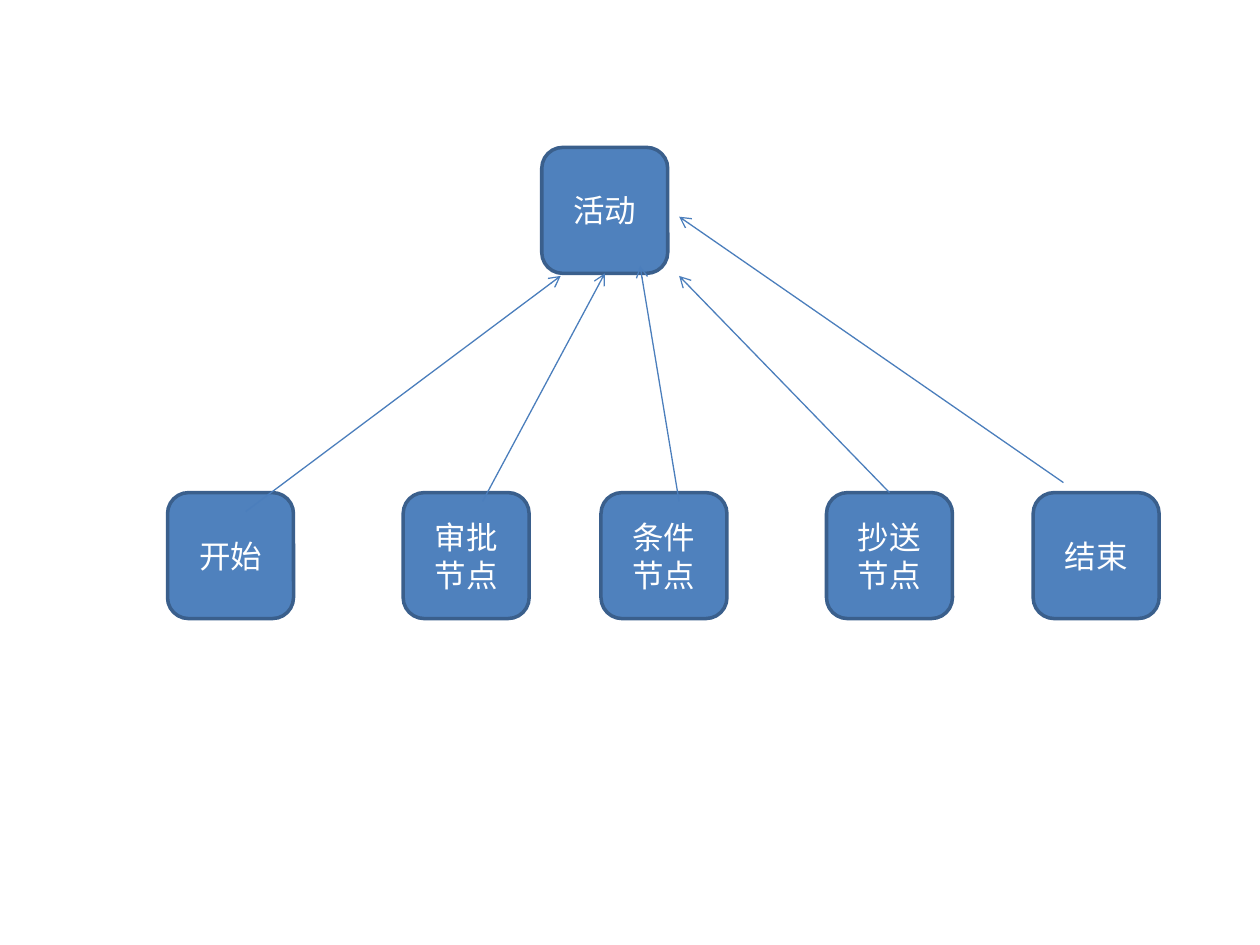
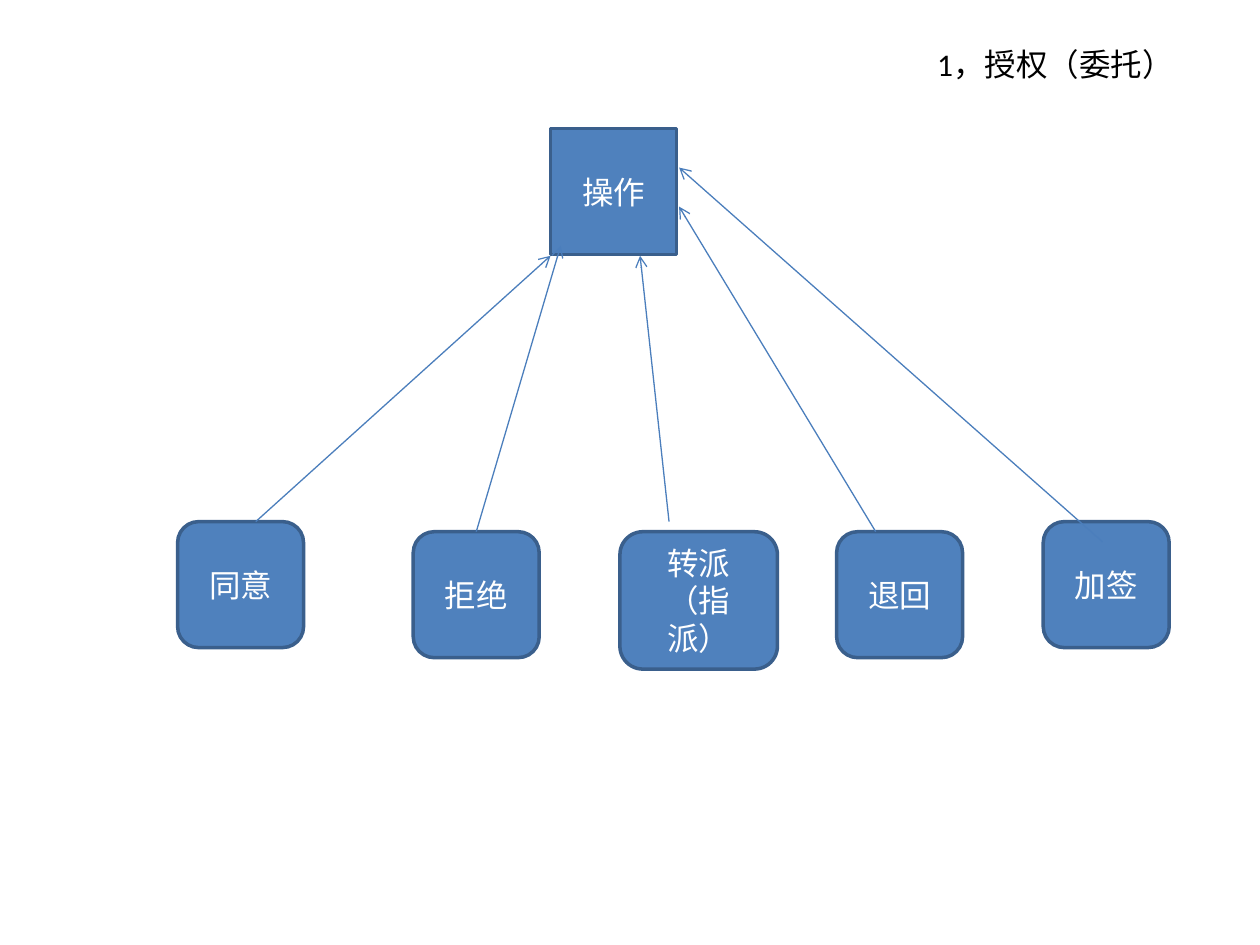
from dataclasses import dataclass

from lxml import etree
from pptx import Presentation
from pptx.dml.color import RGBColor
from pptx.enum.shapes import MSO_CONNECTOR, MSO_SHAPE
from pptx.enum.text import MSO_ANCHOR, MSO_AUTO_SIZE, PP_ALIGN
from pptx.oxml.ns import qn
from pptx.slide import Slide
from pptx.text.text import TextFrame
from pptx.util import Inches, Pt

ROUNDED = MSO_SHAPE.ROUNDED_RECTANGLE
SQUARE = MSO_SHAPE.RECTANGLE
STRAIGHT = MSO_CONNECTOR.STRAIGHT
MIDDLE = MSO_ANCHOR.MIDDLE
CENTER = PP_ALIGN.CENTER
LEFT = PP_ALIGN.LEFT
FIT_SHAPE = MSO_AUTO_SIZE.SHAPE_TO_FIT_TEXT
BLANK_LAYOUT = 6


@dataclass(frozen=True)
class Theme:
    font: str = "Calibri"
    text_size: float = 18
    node_fill: RGBColor = RGBColor(0x4F, 0x81, 0xBD)
    node_border: RGBColor = RGBColor(0x3A, 0x5F, 0x8C)
    border_width: float = 2
    arrow: RGBColor = RGBColor(0x4B, 0x7E, 0xBC)
    arrow_width: float = 0.75
    node_text: RGBColor = RGBColor(0xFF, 0xFF, 0xFF)
    note_text: RGBColor = RGBColor(0, 0, 0)


@dataclass(frozen=True)
class Node:
    label: str
    left: float
    top: float
    width: float = 1
    height: float = 1
    outline: MSO_SHAPE = ROUNDED


@dataclass(frozen=True)
class Arrow:
    start: tuple[float, float]
    end: tuple[float, float]


@dataclass(frozen=True)
class Note:
    text: str
    left: float
    top: float
    width: float
    height: float


@dataclass(frozen=True)
class Hierarchy:
    parent: Node
    children: tuple[Node, ...]
    arrows: tuple[Arrow, ...]
    notes: tuple[Note, ...] = ()


THEME = Theme()

ACTIVITIES = Hierarchy(
    parent=Node("活动", 4.3, 1.17),
    children=(
        Node("开始", 1.33, 3.91),
        Node("审批节点", 3.2, 3.91),
        Node("条件节点", 4.77, 3.91),
        Node("抄送节点", 6.56, 3.91),
        Node("结束", 8.2, 3.91),
    ),
    arrows=(
        Arrow((1.95, 4.06), (4.45, 2.19)),
        Arrow((3.83, 3.98), (4.8, 2.17)),
        Arrow((5.39, 3.98), (5.08, 2.11)),
        Arrow((7.06, 3.91), (5.39, 2.19)),
        Arrow((8.44, 3.83), (5.39, 1.72)),
    ),
)

OPERATIONS = Hierarchy(
    parent=Node("操作", 4.37, 1.02, outline=SQUARE),
    children=(
        Node("同意", 1.41, 4.14),
        Node("拒绝", 3.28, 4.22),
        Node("转派（指派）", 4.92, 4.22, 1.25, 1.09),
        Node("退回", 6.64, 4.22),
        Node("加签", 8.28, 4.14),
    ),
    arrows=(
        Arrow((2.03, 4.14), (4.37, 2.03)),
        Arrow((3.78, 4.22), (4.45, 1.95)),
        Arrow((5.31, 4.14), (5.08, 2.03)),
        Arrow((6.95, 4.22), (5.39, 1.64)),
        Arrow((8.75, 4.3), (5.39, 1.33)),
    ),
    notes=(Note("1，授权（委托）", 7.34, 0.31, 2.27, 0.4),),
)


def write_text(frame: TextFrame, text: str, color: RGBColor, align: PP_ALIGN) -> None:
    frame.word_wrap = True
    paragraph = frame.paragraphs[0]
    paragraph.text = text
    paragraph.alignment = align
    paragraph.font.name = THEME.font
    paragraph.font.size = Pt(THEME.text_size)
    paragraph.font.color.rgb = color


def draw_node(slide: Slide, node: Node) -> None:
    box = slide.shapes.add_shape(
        node.outline,
        Inches(node.left), Inches(node.top),
        Inches(node.width), Inches(node.height),
    )
    box.shadow.inherit = False
    box.fill.solid()
    box.fill.fore_color.rgb = THEME.node_fill
    box.line.color.rgb = THEME.node_border
    box.line.width = Pt(THEME.border_width)
    box.text_frame.vertical_anchor = MIDDLE
    write_text(box.text_frame, node.label, THEME.node_text, CENTER)


def draw_arrow(slide: Slide, arrow: Arrow) -> None:
    start_x, start_y = map(Inches, arrow.start)
    end_x, end_y = map(Inches, arrow.end)
    connector = slide.shapes.add_connector(STRAIGHT, start_x, start_y, end_x, end_y)
    connector.line.color.rgb = THEME.arrow
    connector.line.width = Pt(THEME.arrow_width)
    properties = connector.element.spPr
    etree.SubElement(properties.find(qn("a:ln")), qn("a:tailEnd"), type="arrow")
    etree.SubElement(properties, qn("a:effectLst"))


def draw_note(slide: Slide, note: Note) -> None:
    box = slide.shapes.add_textbox(
        Inches(note.left), Inches(note.top),
        Inches(note.width), Inches(note.height),
    )
    write_text(box.text_frame, note.text, THEME.note_text, LEFT)
    box.text_frame.auto_size = FIT_SHAPE


def draw_hierarchy(slide: Slide, hierarchy: Hierarchy) -> None:
    for node in (hierarchy.parent, *hierarchy.children):
        draw_node(slide, node)
    for arrow in hierarchy.arrows:
        draw_arrow(slide, arrow)
    for note in hierarchy.notes:
        draw_note(slide, note)


deck = Presentation()
deck.slide_width = Inches(10)
deck.slide_height = Inches(7.5)
for hierarchy in (ACTIVITIES, OPERATIONS):
    draw_hierarchy(deck.slides.add_slide(deck.slide_layouts[BLANK_LAYOUT]), hierarchy)
deck.save("out.pptx")
